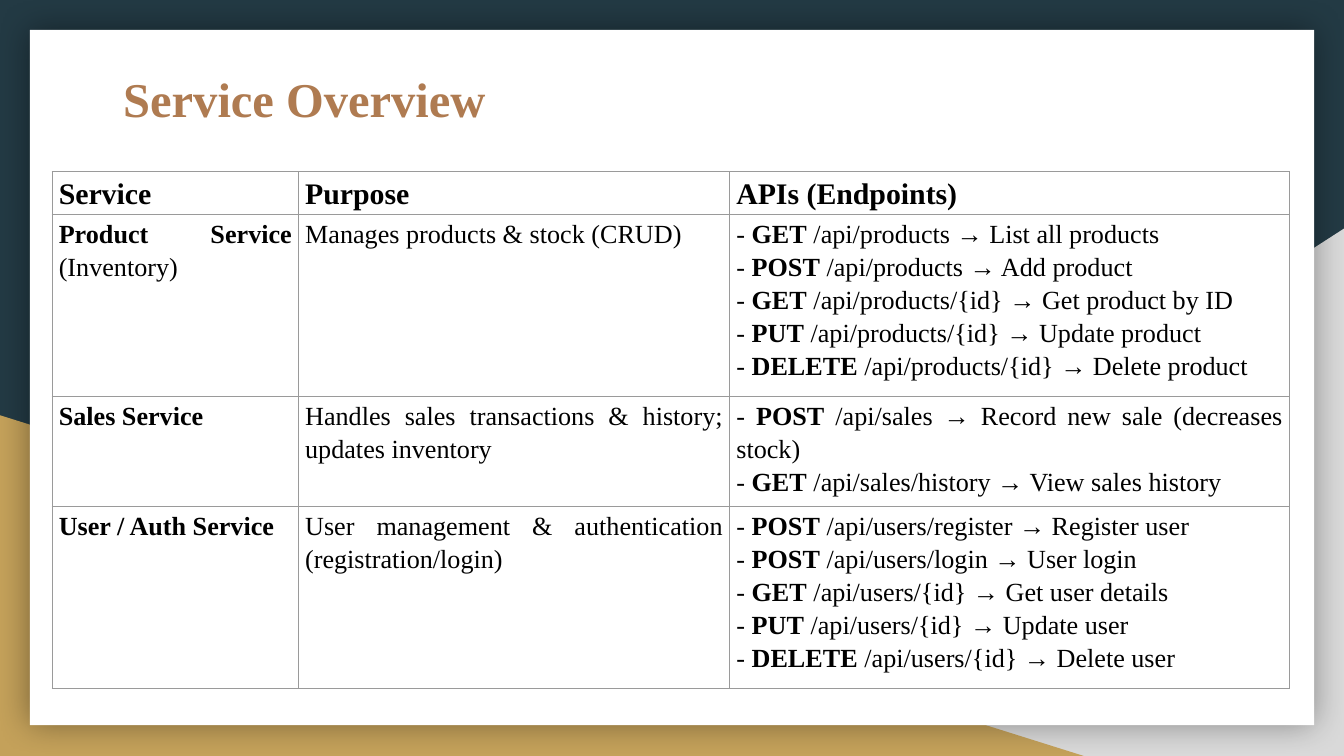
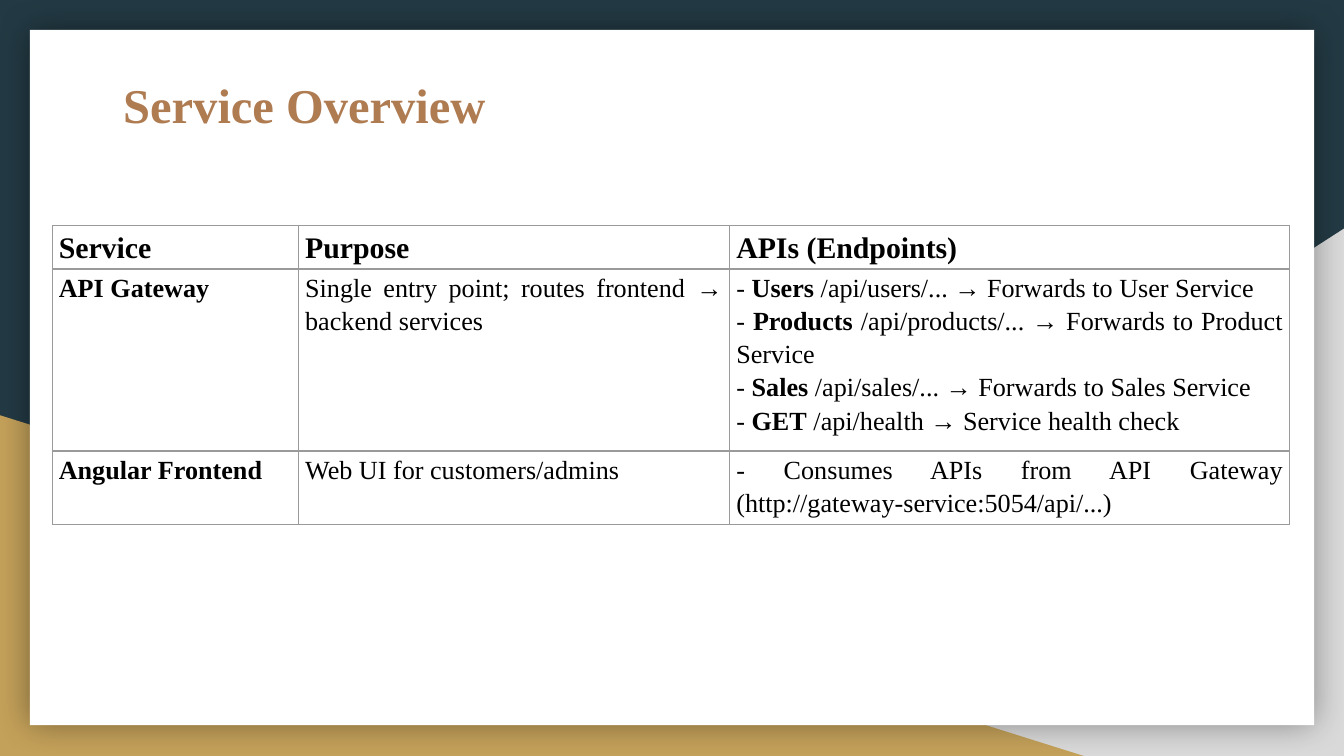
from lxml.etree import SubElement
from pptx import Presentation
from pptx.dml.color import RGBColor
from pptx.enum.shapes import MSO_SHAPE
from pptx.enum.text import MSO_ANCHOR, PP_ALIGN
from pptx.oxml.ns import qn
from pptx.util import Pt

PX = 6350
FONT = "Times New Roman"
NAVY = RGBColor(0x23, 0x3A, 0x44)
SILVER = RGBColor(0xD9, 0xD9, 0xD9)
GOLD = RGBColor(0xC4, 0xA1, 0x5A)
WHITE = RGBColor(0xFF, 0xFF, 0xFF)
BRONZE = RGBColor(0xAF, 0x7B, 0x51)
BLACK = RGBColor(0, 0, 0)
BORDER = RGBColor(0x9A, 0x9A, 0x9A)

TITLE = "Service Overview"
COLUMNS = [264, 462, 600]
HEADER = [["**Service**"], ["**Purpose**"], ["**APIs (Endpoints)**"]]
HEADER_HEIGHT = 32

CORE_SERVICES = [
    (148, ["**Product Service** (Inventory)"], ["Manages products & stock (CRUD)"], [
        "- **GET** /api/products → List all products",
        "- **POST** /api/products → Add product",
        "- **GET** /api/products/{id} → Get product by ID",
        "- **PUT** /api/products/{id} → Update product",
        "- **DELETE** /api/products/{id} → Delete product",
    ]),
    (60, ["**Sales Service**"], ["Handles sales transactions & history; updates inventory"], [
        "- **POST** /api/sales → Record new sale (decreases stock)",
        "- **GET** /api/sales/history → View sales history",
    ]),
    (148, ["**User / Auth Service**"], ["User management & authentication (registration/login)"], [
        "- **POST** /api/users/register → Register user",
        "- **POST** /api/users/login → User login",
        "- **GET** /api/users/{id} → Get user details",
        "- **PUT** /api/users/{id} → Update user",
        "- **DELETE** /api/users/{id} → Delete user",
    ]),
]
ENTRY_SERVICES = [
    (120, ["**API Gateway**"], ["Single entry point; routes frontend → backend services"], [
        "- **Users** /api/users/... → Forwards to User Service",
        "- **Products** /api/products/... → Forwards to Product Service",
        "- **Sales** /api/sales/... → Forwards to Sales Service",
        "- **GET** /api/health → Service health check",
    ]),
    (60, ["**Angular Frontend**"], ["Web UI for customers/admins"], [
        "- Consumes APIs from API Gateway (http://gateway-service:5054/api/...)",
    ]),
]


class Deck:
    def __init__(self):
        self.presentation = Presentation()
        self.presentation.slide_width = 1440 * PX
        self.presentation.slide_height = 810 * PX
        self.slide = None

    def add_slide(self):
        self.slide = self.presentation.slides.add_slide(self.presentation.slide_layouts[6])
        background = self.slide.background.fill
        background.solid()
        background.fore_color.rgb = NAVY
        corner = self.shape(MSO_SHAPE.RIGHT_TRIANGLE, 564, 245, 876, 565, SILVER)
        corner._element.spPr.find(qn("a:xfrm")).set("flipH", "1")
        self.shape(MSO_SHAPE.RIGHT_TRIANGLE, 0, 445, 1161, 365, GOLD)
        card = self.shape(MSO_SHAPE.RECTANGLE, 32, 32, 1376, 745, WHITE)
        self.glow(card)

    def shape(self, kind, left, top, width, height, color):
        shape = self.slide.shapes.add_shape(kind, left * PX, top * PX, width * PX, height * PX)
        shape.shadow.inherit = False
        shape.fill.solid()
        shape.fill.fore_color.rgb = color
        shape.line.fill.background()
        return shape

    def glow(self, shape):
        effects = shape._element.spPr.find(qn("a:effectLst"))
        shadow = SubElement(effects, qn("a:outerShdw"), blurRad=str(Pt(18)), dist="0",
                            dir="0", algn="ctr", rotWithShape="0")
        color = SubElement(shadow, qn("a:srgbClr"), val=str(BLACK))
        SubElement(color, qn("a:alpha"), val="40000")

    def runs(self, paragraph, marked_text, size, color):
        for index, text in enumerate(marked_text.split("**")):
            if text:
                run = paragraph.add_run()
                run.text = text
                run.font.name = FONT
                run.font.size = Pt(size)
                run.font.bold = index % 2 == 1
                run.font.color.rgb = color

    def title(self, text, top):
        box = self.slide.shapes.add_textbox(118 * PX, top * PX, 1204 * PX, 99 * PX)
        frame = box.text_frame
        frame.word_wrap = True
        frame.vertical_anchor = MSO_ANCHOR.MIDDLE
        frame.margin_left = frame.margin_right = 14 * PX
        frame.margin_top = frame.margin_bottom = 14 * PX
        self.runs(frame.paragraphs[0], f"**{text}**", 26, BRONZE)

    def table(self, top, services):
        rows = [(HEADER_HEIGHT, *HEADER), *services]
        height = sum(row[0] for row in rows)
        table = self.slide.shapes.add_table(
            len(rows), len(COLUMNS), 56 * PX, top * PX, sum(COLUMNS) * PX, height * PX).table
        table.first_row = table.horz_banding = False
        for column, width in zip(table.columns, COLUMNS):
            column.width = width * PX
        for index, (row_height, *contents) in enumerate(rows):
            table.rows[index].height = row_height * PX
            for cell, lines in zip(table.rows[index].cells, contents):
                self.cell(cell, lines, 14 if index else 16)

    def cell(self, cell, lines, size):
        cell.margin_left = cell.margin_right = 7 * PX
        cell.margin_top = cell.margin_bottom = 1 * PX
        frame = cell.text_frame
        for index, line in enumerate(lines):
            paragraph = frame.add_paragraph() if index else frame.paragraphs[0]
            paragraph.alignment = PP_ALIGN.JUSTIFY
            paragraph.line_spacing = 1.15
            self.runs(paragraph, line, size, BLACK)
        properties = cell._tc.get_or_add_tcPr()
        for side in ("lnL", "lnR", "lnT", "lnB"):
            border = SubElement(properties, qn(f"a:{side}"), w=str(Pt(0.75)))
            fill = SubElement(border, qn("a:solidFill"))
            SubElement(fill, qn("a:srgbClr"), val=str(BORDER))
        cell.fill.background()


def main():
    deck = Deck()
    for title_top, table_top, services in ((56, 184, CORE_SERVICES), (62, 242, ENTRY_SERVICES)):
        deck.add_slide()
        deck.title(TITLE, title_top)
        deck.table(table_top, services)
    deck.presentation.save("out.pptx")


if __name__ == "__main__":
    main()
